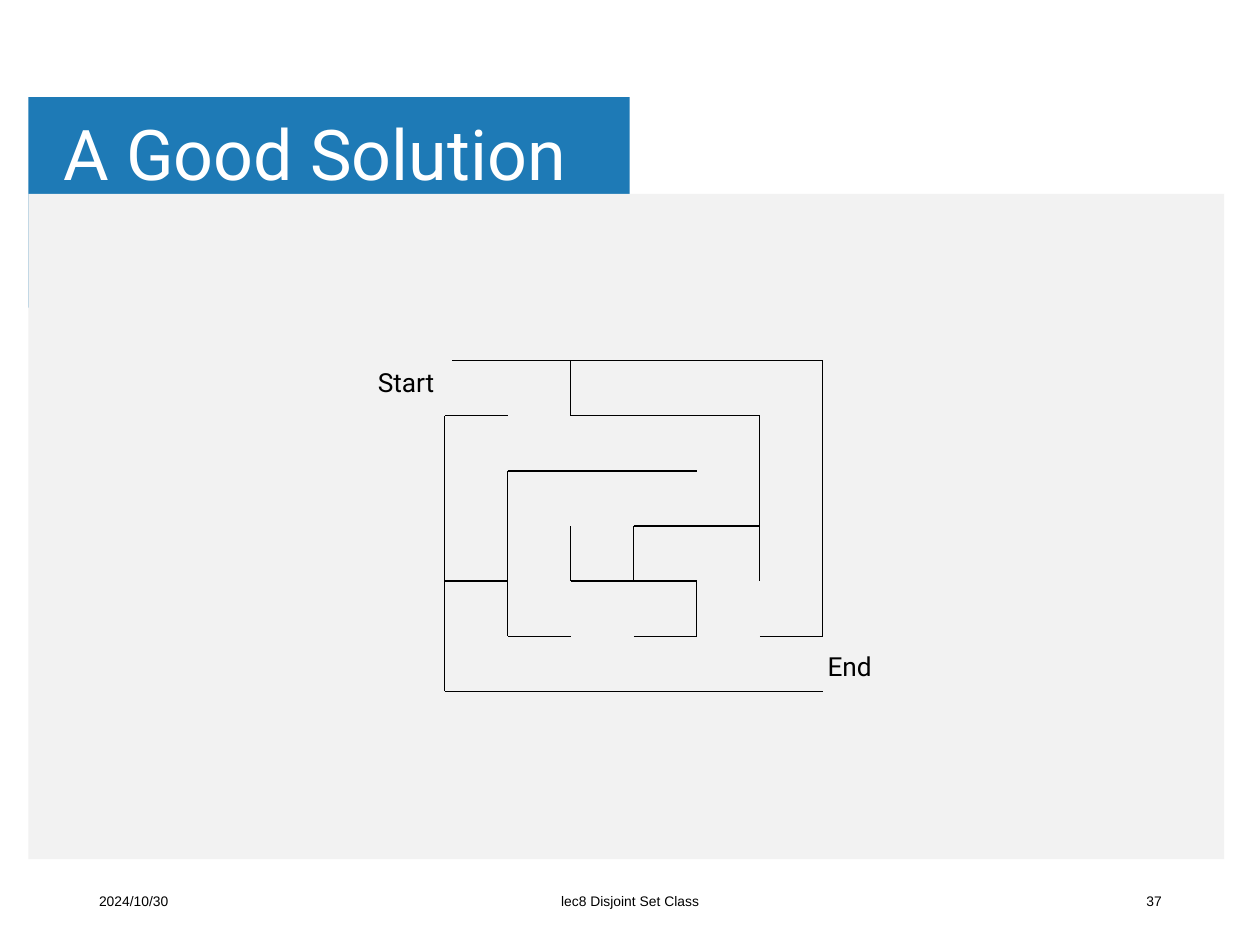
from dataclasses import dataclass
from typing import NamedTuple

import pptx
import pptx.dml.color
import pptx.enum.shapes
import pptx.enum.text
import pptx.oxml.ns
import pptx.util
from lxml import etree

Pt = pptx.util.Pt
RGB = pptx.dml.color.RGBColor
ALIGN = pptx.enum.text.PP_ALIGN
ANCHOR = pptx.enum.text.MSO_ANCHOR
AUTO = pptx.enum.text.MSO_AUTO_SIZE


@dataclass(frozen=True)
class Theme:
    blue: RGB = RGB(0x1E, 0x7A, 0xB6)
    panel: RGB = RGB(0xF2, 0xF2, 0xF2)
    ink: RGB = RGB(0, 0, 0)
    white: RGB = RGB(0xFF, 0xFF, 0xFF)
    font: str = "Roboto"
    footer_font: str = "Arial"
    title_size: float = 40
    label_size: float = 15
    footer_size: float = 7.9
    wall_width: float = 0.75


class Box(NamedTuple):
    left: float
    top: float
    width: float
    height: float


class Label(NamedTuple):
    text: str
    box: Box
    align: ALIGN = ALIGN.LEFT


class Wall(NamedTuple):
    """A wall between two grid points, in columns and rows of the maze."""
    col1: float
    row1: float
    col2: float
    row2: float


THEME = Theme()
MAZE_LEFT, MAZE_TOP = 254.2, 206.1
CELL_W, CELL_H = 36, 31.5

# Row line -> columns whose cell has a wall along that line
HORIZONTAL = {0: (1, 2, 3, 4, 5), 1: (0, 2, 3, 4), 2: (1, 2, 3),
              3: (3, 4), 4: (0, 2, 3), 5: (1, 3, 5)}
# Row of cells -> column lines with a wall beside that row
VERTICAL = {0: (2, 6), 1: (5, 6), 2: (1, 5, 6), 3: (1, 2, 3, 5, 6), 4: (1, 4, 6)}

WALLS = [Wall(c, r, c + 1, r) for r, cols in HORIZONTAL.items() for c in cols]
WALLS += [Wall(c, r, c, r + 1) for r, cols in VERTICAL.items() for c in cols]
WALLS += [Wall(5, 6, 0, 6), Wall(0, 6, 0, 1), Wall(0.12, 0, 1.12, 0), Wall(5, 6, 6, 6)]

FOOTERS = [
    Label("2024/10/30", Box(49.5, 500.5, 162, 28.75)),
    Label("lec8 Disjoint Set Class", Box(238.5, 500.5, 243, 28.75), ALIGN.CENTER),
    Label("37", Box(509, 500.5, 162, 28.75), ALIGN.RIGHT),
]
MAZE_LABELS = [
    Label("Start", Box(208.8, 205.9, 49, 25.2)),
    Label("End", Box(465.8, 367.9, 41.8, 25.2)),
]


def add_panel(slide, box: Box, color: RGB) -> None:
    sp = slide.shapes.add_shape(pptx.enum.shapes.MSO_SHAPE.RECTANGLE, *map(Pt, box))
    sp.shadow.inherit = False
    sp.fill.solid()
    sp.fill.fore_color.rgb = color
    sp.line.fill.background()


def add_run(p, text: str, font: str, size: float, color: RGB) -> None:
    r = p.add_run()
    r.text = text
    r.font.name = font
    r.font.size = Pt(size)
    r.font.color.rgb = color


def format_title(slide, text: str, box: Box) -> None:
    """Place the title in front of the panels drawn so far."""
    sp = slide.shapes.title
    sp.element.getparent().append(sp.element)
    sp.left, sp.top, sp.width, sp.height = map(Pt, box)
    tf = sp.text_frame
    tf.auto_size = AUTO.NONE
    tf.word_wrap = True
    tf.vertical_anchor = ANCHOR.MIDDLE
    tf.margin_left = tf.margin_right = Pt(5.2)
    tf.margin_top = tf.margin_bottom = Pt(2.6)
    p = tf.paragraphs[0]
    p.alignment = ALIGN.LEFT
    p.line_spacing = 0.9
    add_run(p, text, THEME.font, THEME.title_size, THEME.white)


def add_label(slide, label: Label, font: str, size: float,
              anchor: ANCHOR, wrap: bool) -> None:
    tf = slide.shapes.add_textbox(*map(Pt, label.box)).text_frame
    tf.word_wrap = wrap
    tf.auto_size = AUTO.NONE if wrap else AUTO.SHAPE_TO_FIT_TEXT
    tf.vertical_anchor = anchor
    p = tf.paragraphs[0]
    p.alignment = label.align
    add_run(p, label.text, font, size, THEME.ink)


def add_wall(slide, wall: Wall) -> None:
    line = slide.shapes.add_connector(
        pptx.enum.shapes.MSO_CONNECTOR.STRAIGHT,
        Pt(MAZE_LEFT + wall.col1 * CELL_W), Pt(MAZE_TOP + wall.row1 * CELL_H),
        Pt(MAZE_LEFT + wall.col2 * CELL_W), Pt(MAZE_TOP + wall.row2 * CELL_H))
    line.line.color.rgb = THEME.ink
    line.line.width = Pt(THEME.wall_width)
    sp_pr = line.element.find(pptx.oxml.ns.qn("p:spPr"))
    etree.SubElement(sp_pr, pptx.oxml.ns.qn("a:effectLst"))


def main() -> None:
    prs = pptx.Presentation()
    prs.slide_width, prs.slide_height = Pt(720), Pt(540)
    slide = prs.slides.add_slide(prs.slide_layouts.get_by_name("Title Only"))
    add_panel(slide, Box(16.3, 55.6, 343.5, 120.2), THEME.blue)
    add_panel(slide, Box(16.3, 110.8, 683.2, 380.2), THEME.panel)
    format_title(slide, "A Good Solution", Box(31, 54.7, 578, 70.6))
    for footer in FOOTERS:
        add_label(slide, footer, THEME.footer_font, THEME.footer_size, ANCHOR.MIDDLE, True)
    for wall in WALLS:
        add_wall(slide, wall)
    for label in MAZE_LABELS:
        add_label(slide, label, THEME.font, THEME.label_size, ANCHOR.TOP, False)
    prs.save("out.pptx")


if __name__ == "__main__":
    main()
